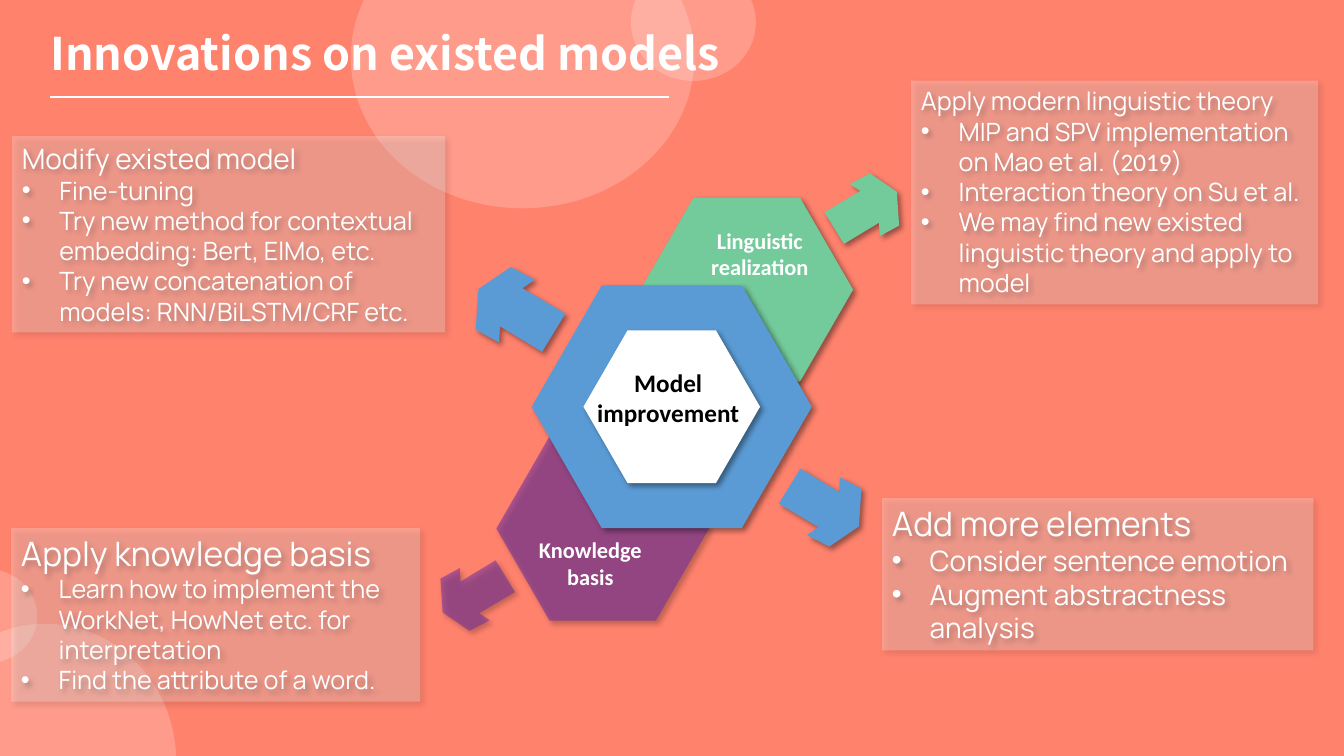
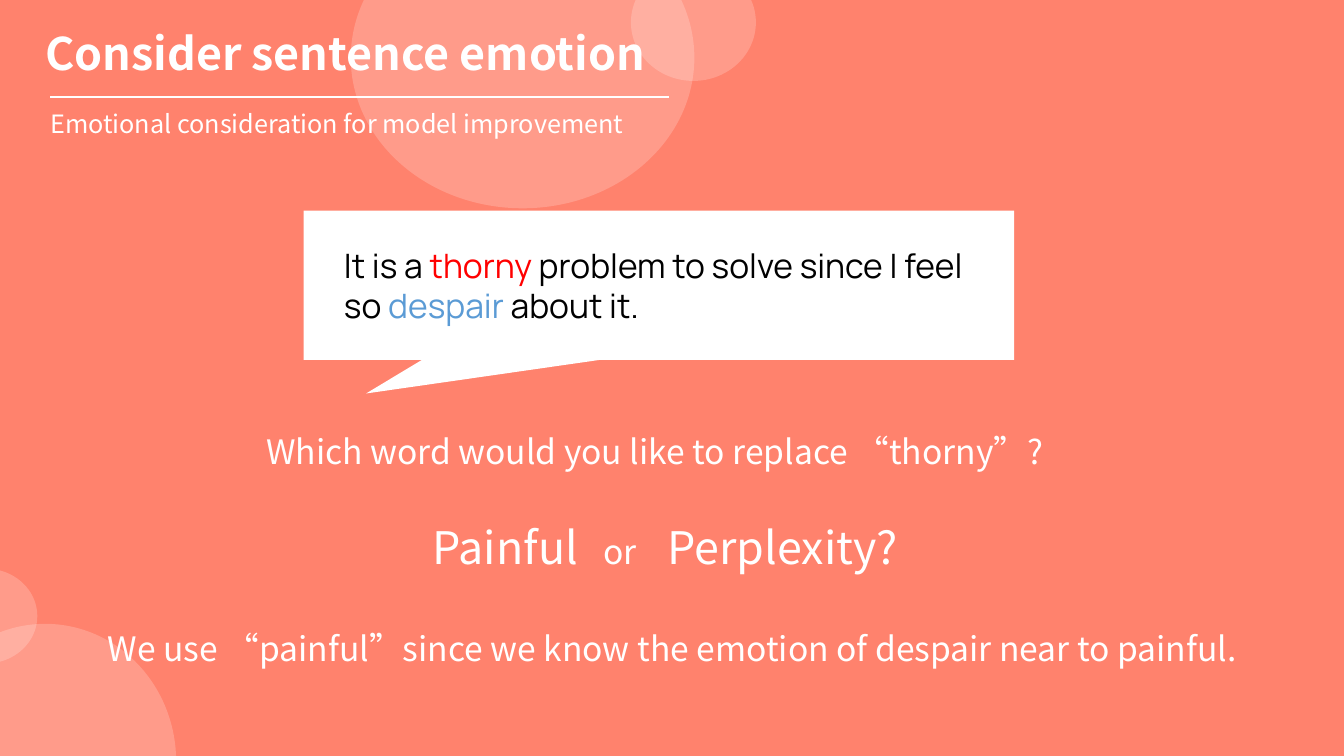
from lxml.etree import SubElement
from pptx import Presentation
from pptx.dml.color import RGBColor
from pptx.enum.shapes import MSO_CONNECTOR, MSO_SHAPE as Preset
from pptx.enum.text import MSO_ANCHOR as Anchor, MSO_AUTO_SIZE as AutoSize, PP_ALIGN as Align
from pptx.oxml.ns import qn
from pptx.util import Cm, Pt

COLORS = {
    "coral": "FF826D", "white": "FFFFFF", "black": "000000", "red": "FF0000",
    "blue": "5B9BD5", "green": "73CA9B", "purple": "7030A0",
}
SANS, BODY, LABEL = "Noto Sans CJK SC", "Manrope", "Calibri"
PAGE_SIZE = (33.87, 19.05)
HUB = (16.93, 10.25)
HEX_RATIO = 0.866
ARROW_RATIO = 0.945
# Up-left arrow, as fractions of its box
ARROW_OUTLINE = [(1, 0.55), (0.52, 0.25), (0.66, 0.15), (0.39, 0), (0.03, 0.26),
                 (0, 0.74), (0.26, 0.89), (0.27, 0.7), (0.74, 1)]
BUBBLES = [(8.84, -2.34, 8.66, 7.59), (15.9, -0.91, 3.15, 2.95),
           (-1.65, 14.33, 2.59, 2.39), (-2.16, 15.72, 6.6, 6.93)]


def rgb(color):
    return RGBColor.from_string(COLORS[color])


def lengths(values):
    return [Cm(value) for value in values]


def paint(shape, color, alpha=100, shadow=False):
    """Fill a shape without outline, with optional opacity and drop shadow."""
    shape.fill.solid()
    shape.fill.fore_color.rgb = rgb(color)
    shape.line.fill.background()
    shape.shadow.inherit = False
    properties = shape._element.spPr
    if alpha < 100:
        tone = properties.find(qn("a:solidFill")).find(qn("a:srgbClr"))
        SubElement(tone, qn("a:alpha"), val=str(alpha * 1000))
    if shadow:
        drop = SubElement(properties.find(qn("a:effectLst")), qn("a:outerShdw"),
                          blurRad=str(Pt(4)), dist=str(Pt(3)), dir="2700000",
                          algn="tl", rotWithShape="0")
        tone = SubElement(drop, qn("a:srgbClr"), val=COLORS["black"])
        SubElement(tone, qn("a:alpha"), val="40000")
    return shape


def set_frame(frame, anchor=Anchor.MIDDLE, insets=(0, 0, 0, 0), auto_size=AutoSize.NONE):
    frame.word_wrap = True
    frame.auto_size = auto_size
    frame.vertical_anchor = anchor
    (frame.margin_left, frame.margin_top,
     frame.margin_right, frame.margin_bottom) = lengths(insets)
    return frame


def add_span(para, text, size=24, font=SANS, color="white", bold=False):
    span = para.add_run()
    span.text = text
    span.font.size = Pt(size)
    span.font.bold = bold
    span.font.color.rgb = rgb(color)
    span.font.name = font
    SubElement(span._r.get_or_add_rPr(), qn("a:ea"), typeface=font)


def add_para(frame, spans, align=Align.LEFT, bullet=False, tabs=(), **style):
    """Write a string, or (text, overrides) pairs, into the next paragraph."""
    first = frame.paragraphs[0]
    para = frame.add_paragraph() if first.runs else first
    para.alignment = align
    properties = para._p.get_or_add_pPr()
    if bullet:
        properties.set("marL", str(Cm(0.95)))
        properties.set("indent", str(-Cm(0.95)))
        SubElement(properties, qn("a:buFont"), typeface="Arial")
        SubElement(properties, qn("a:buChar"), char="•")
    if tabs:
        stops = SubElement(properties, qn("a:tabLst"))
        for stop in tabs:
            SubElement(stops, qn("a:tab"), pos=str(Cm(stop)), algn="l")
    for text, override in [(spans, {})] if isinstance(spans, str) else spans:
        add_span(para, text, **{**style, **override})


def add_textbox(page, box, spans, **style):
    frame = set_frame(page.shapes.add_textbox(*lengths(box)).text_frame)
    add_para(frame, spans, **style)


def add_page(deck, title, title_left):
    """Add a slide with the shared background, title, rule and bubbles."""
    page = deck.slides.add_slide(deck.slide_layouts[5])
    page.background.fill.solid()
    page.background.fill.fore_color.rgb = rgb("coral")
    heading = page.shapes.title
    heading.left, heading.top, heading.width, heading.height = lengths(
        (title_left, 0.25, 26, 2.16))
    add_para(set_frame(heading.text_frame), title, size=32, bold=True)
    rule = page.shapes.add_connector(MSO_CONNECTOR.STRAIGHT, *lengths((1.27, 2.44, 16.87, 2.44)))
    rule.line.color.rgb = rgb("white")
    rule.line.width = Pt(1)
    SubElement(rule._element.spPr, qn("a:effectLst"))
    for bubble in BUBBLES:
        paint(page.shapes.add_shape(Preset.OVAL, *lengths(bubble)), "white", alpha=20)
    return page


def add_hexagon(page, center, width, color, alpha=100):
    height = width * HEX_RATIO
    box = (center[0] - width / 2, center[1] - height / 2, width, height)
    hexagon = page.shapes.add_shape(Preset.HEXAGON, *lengths(box))
    hexagon.adjustments[0] = 0.25 / HEX_RATIO
    paint(hexagon, color, alpha, shadow=True)


def add_arrow(page, corner, width, color, alpha=100, right=False, down=False):
    """Draw the bent arrow, mirrored to point right and/or down."""
    left, top = corner
    height = width * ARROW_RATIO
    points = [(Cm(left + width * (1 - x if right else x)),
               Cm(top + height * (1 - y if down else y))) for x, y in ARROW_OUTLINE]
    builder = page.shapes.build_freeform(*points[0])
    builder.add_line_segments(points[1:], close=True)
    paint(builder.convert_to_shape(), color, alpha, shadow=True)


def add_diagram(page, center):
    """Place hexagons, arrows and labels around a centre point."""
    def shifted(x, y):
        return center[0] + x, center[1] + y

    add_hexagon(page, shifted(-1.74, 3.07), 5.36, "purple", alpha=59)
    add_hexagon(page, shifted(1.89, -2.95), 5.36, "green")
    add_hexagon(page, center, 7.06, "blue")
    add_hexagon(page, center, 4.45, "white")
    add_arrow(page, shifted(-4.94, -3.52), 2.26, "blue")
    add_arrow(page, shifted(2.7, 1.56), 2.08, "blue", right=True, down=True)
    add_arrow(page, shifted(3.85, -5.88), 1.88, "green", right=True)
    add_arrow(page, shifted(-5.83, 3.87), 1.88, "purple", alpha=56, down=True)

    width, height = 3.76, 2.31
    labels = [("Model improvement", (-0.09, -0.23), 18, "black"),
              ("Linguistic realization", (2.22, -3.86), 16, "white"),
              ("Knowledge basis", (-2.05, 3.94), 16, "white")]
    for text, offset, size, color in labels:
        x, y = shifted(*offset)
        add_textbox(page, (x - width / 2, y - height / 2, width, height), text,
                    align=Align.CENTER, size=size, font=LABEL, color=color, bold=True)


def add_card(page, box, heading, heading_size, points, size=18):
    card = paint(page.shapes.add_shape(Preset.RECTANGLE, *lengths(box)),
                 "white", alpha=24, shadow=True)
    frame = set_frame(card.text_frame, Anchor.TOP, (0.25, 0.13, 0.25, 0.13),
                      AutoSize.SHAPE_TO_FIT_TEXT)
    add_para(frame, heading, size=heading_size, font=BODY)
    for point in points:
        add_para(frame, point, bullet=True, size=size, font=BODY)


def add_callout(page, box):
    callout = paint(page.shapes.add_shape(Preset.RECTANGULAR_CALLOUT, *lengths(box)), "white")
    callout.adjustments[0], callout.adjustments[1] = -0.412, 0.725
    frame = set_frame(callout.text_frame, insets=(1.02, 0.13, 0.25, 0.13))
    add_para(frame, [("It is a ", {}), ("thorny", {"color": "red"}),
                     (" problem to solve since I feel so ", {}),
                     ("despair", {"color": "blue"}), (" about it.", {})],
             font=BODY, color="black")


def build_innovations(deck):
    page = add_page(deck, "Innovations on existed models", 1.27)
    add_diagram(page, HUB)
    add_card(page, (0.3, 3.43, 10.92, 4.95), "Modify existed model", 20, [
        "Fine-tuning",
        "Try new method for contextual embedding: Bert, ElMo, etc.",
        "Try new concatenation of models: RNN/BiLSTM/CRF etc."])
    add_card(page, (22.96, 2.03, 10.26, 5.64), "Apply modern linguistic theory", 18, [
        [("MIP and SPV implementation on Mao et al. (", {}),
         ("2019", {"font": LABEL}), (")", {})],
        "Interaction theory on Su et al.",
        "We may find new existed linguistic theory and apply to model"])
    add_card(page, (22.23, 12.55, 10.87, 3.84), "Add more elements", 24, [
        "Consider sentence emotion", "Augment abstractness analysis"], size=20)
    add_card(page, (0.28, 13.31, 10.31, 4.37), "Apply knowledge basis", 24, [
        "Learn how to implement the WorkNet, HowNet etc. for interpretation",
        "Find the attribute of a word."])


def build_emotion(deck):
    page = add_page(deck, "Consider sentence emotion", 1.14)
    add_textbox(page, (1.27, 2.34, 16, 1.52),
                "Emotional consideration for model improvement", size=18)
    add_callout(page, (7.65, 5.31, 17.91, 3.76))
    add_textbox(page, (6.71, 10.16, 21.56, 2.41),
                "Which word would you like to replace “thorny”?")
    add_textbox(page, (10.9, 12.57, 12.78, 2.39),
                [("Painful", {}), ("\tor\t", {"size": 24}), ("Perplexity?", {})],
                size=32, tabs=(4.31, 5.92))
    add_textbox(page, (2.72, 15.14, 29.57, 2.39),
                "We use “painful”since we know the emotion of despair near to painful.")


def main():
    deck = Presentation()
    deck.slide_width, deck.slide_height = lengths(PAGE_SIZE)
    build_innovations(deck)
    build_emotion(deck)
    deck.save("out.pptx")


if __name__ == "__main__":
    main()
